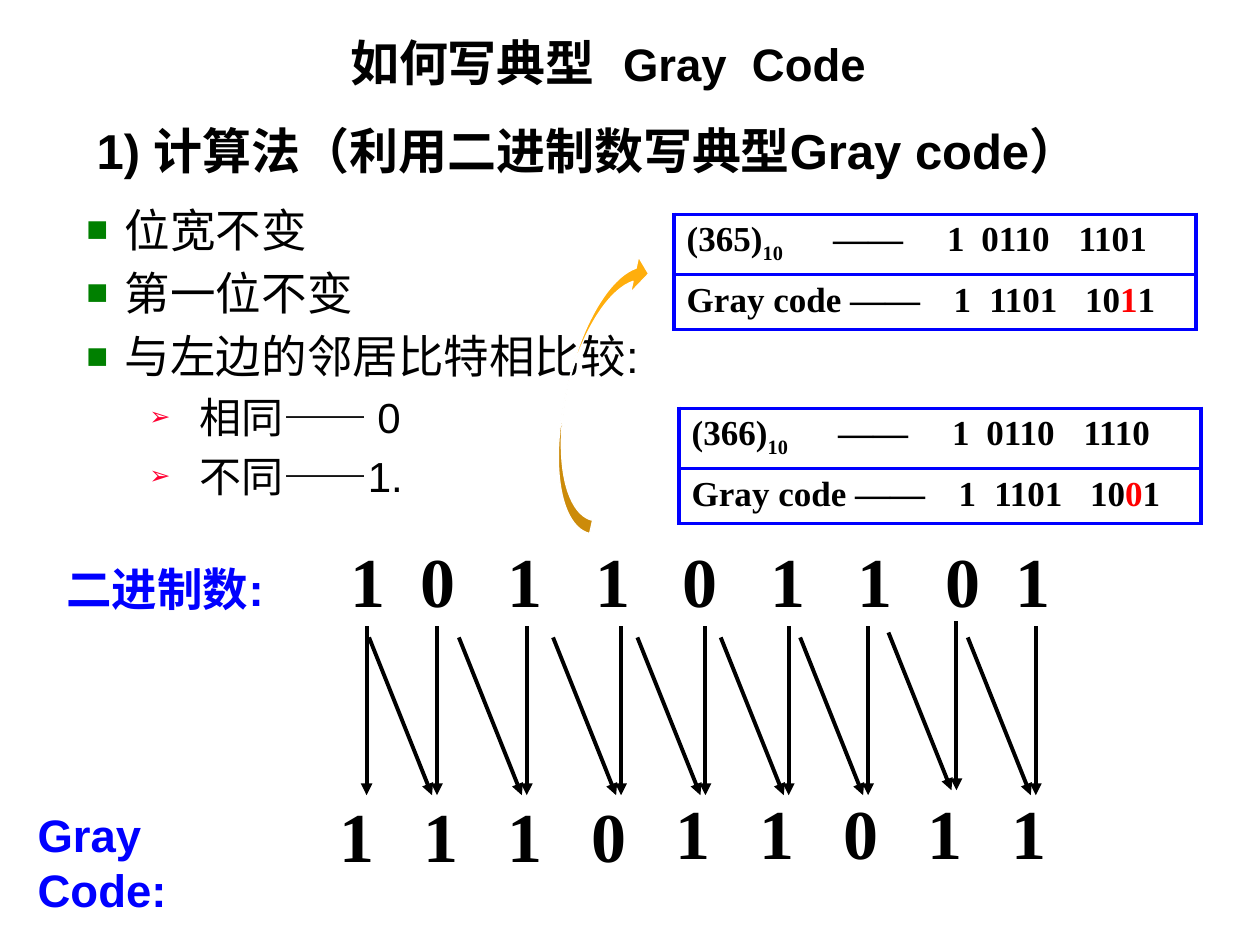
from itertools import accumulate

from lxml.etree import SubElement
from pptx import Presentation
from pptx.dml.color import RGBColor as RGB
from pptx.enum.shapes import MSO_CONNECTOR as CONN, MSO_SHAPE as SHAPE
from pptx.enum.text import PP_ALIGN as ALIGN
from pptx.oxml.ns import qn
from pptx.util import Cm, Pt

COLORS = {"ink": "000000", "blue": "0000FF", "red": "FF0000", "green": "008000",
          "crimson": "FF0033", "gold": "FFAE0D", "white": "FFFFFF"}
HEAD = {"name": "Arial", "size": Pt(28), "bold": True}
LABEL = {"name": "Arial", "size": Pt(26), "bold": True}
DIGIT = {"name": "Times New Roman", "size": Pt(40), "bold": True}
CELL = {"name": "Times New Roman", "size": Pt(20), "bold": True}


def rgb(name):
    return RGB.from_string(COLORS[name])


def add_run(p, text, fmt, color="ink", baseline=None):
    r = p.add_run()
    r.text = text
    for key, value in fmt.items():
        setattr(r.font, key, value)
    r.font.color.rgb = rgb(color)
    if baseline:
        r._r.get_or_add_rPr().set("baseline", str(baseline))


def add_tabs(p, stops):
    tabs = SubElement(p._p.get_or_add_pPr(), qn("a:tabLst"))
    for stop in stops:
        SubElement(tabs, qn("a:tab"), pos=str(Cm(stop)), algn="l")


def add_bullet(p, char, color, percent, margin, hang):
    pPr = p._p.get_or_add_pPr()
    pPr.set("marL", str(Cm(margin)))
    pPr.set("indent", str(-Cm(hang)))
    clr = SubElement(pPr, qn("a:buClr"))
    SubElement(clr, qn("a:srgbClr"), val=COLORS[color])
    SubElement(pPr, qn("a:buSzPct"), val=str(percent * 1000))
    SubElement(pPr, qn("a:buFont"), typeface="Arial")
    SubElement(pPr, qn("a:buChar"), char=char)


def add_text(slide, box, runs, tabs=()):
    tf = slide.shapes.add_textbox(*map(Cm, box)).text_frame
    tf.word_wrap = True
    p = tf.paragraphs[0]
    if tabs:
        add_tabs(p, tabs)
    for run in runs:
        add_run(p, *run)


def add_rules(slide, box):
    tf = slide.shapes.add_textbox(*map(Cm, box)).text_frame
    tf.word_wrap = True
    square = ("■", "green", 80, 0.78, 0.78)
    arrow = ("➢", "crimson", 60, 2.29, 1.02)
    rules = [("位宽不变", 26, square), ("第一位不变", 26, square),
             ("与左边的邻居比特相比较:", 26, square),
             ("相同—— 0", 24, arrow), ("不同——1.", 24, arrow)]
    for i, (text, size, bullet) in enumerate(rules):
        p = tf.add_paragraph() if i else tf.paragraphs[0]
        add_bullet(p, *bullet)
        p.alignment = ALIGN.JUSTIFY
        if i:
            p.space_before = Pt(5)
        if bullet is arrow:
            p.level = 1
        add_run(p, text, {"name": "Arial", "size": Pt(size)})


def add_borders(cell):
    tcPr = cell._tc.get_or_add_tcPr()
    for i, side in enumerate(("lnL", "lnR", "lnT", "lnB")):
        ln = SubElement(tcPr, qn("a:" + side), w=str(Pt(2.25)))
        fill = SubElement(ln, qn("a:solidFill"))
        SubElement(fill, qn("a:srgbClr"), val=COLORS["blue"])
        tcPr.insert(i, ln)


def add_example(slide, box, number, low_bits, changed_bit):
    table = slide.shapes.add_table(2, 1, *map(Cm, box)).table
    table.first_row = table.horz_banding = False
    rows = [
        ([(f"({number})", CELL), ("10", CELL, "ink", -25000),
          (f"\t——\t1\t0110\t{low_bits}", CELL)], (2.95, 5.25, 5.94, 7.9)),
        ([("Gray code ——\t1\t1101\t10", CELL), (changed_bit, CELL, "red"),
          ("1", CELL)], (5.38, 6.1, 8.03)),
    ]
    for i, (runs, tabs) in enumerate(rows):
        cell = table.cell(i, 0)
        cell.fill.background()
        add_borders(cell)
        p = cell.text_frame.paragraphs[0]
        add_tabs(p, tabs)
        for run in runs:
            add_run(p, *run)


def add_binary(slide, box, bits, gaps):
    # Each digit is 0.71 cm wide; gaps count half-digit steps
    tabs = accumulate(0.706 + 0.353 * gap for gap in gaps)
    add_text(slide, box, [("\t".join(bits), DIGIT)], tuple(tabs))


def add_gray(slide, box, bits):
    left, top, width, height = box
    for i, bit in enumerate(bits):
        y = top if i < 4 else top - 0.05
        add_text(slide, (left + 1.693 * i, y, width, height), [(bit, DIGIT)])


def add_arrow(shapes, x1, y1, x2, y2):
    c = shapes.add_connector(CONN.STRAIGHT, Cm(x1), Cm(y1), Cm(x2), Cm(y2))
    c.line.color.rgb = rgb("ink")
    c.line.width = Pt(2.25)
    SubElement(c.line._get_or_add_ln(), qn("a:tailEnd"), type="triangle")
    SubElement(c._element.spPr, qn("a:effectLst"))


def add_arrows(slide, box):
    left, top, _, height = box
    add_arrow(slide.shapes, left, top, left, top + height)
    # One pair per later bit: left neighbour and the bit itself
    for offset in (1.42, 3.23, 5.13, 6.83, 8.51, 10.11, 11.89, 13.49):
        x = left + offset
        y = top - 0.1 if offset == 11.89 else top
        pair = slide.shapes.add_group_shape().shapes
        add_arrow(pair, x - 1.37, y + 0.23, x - 0.1, y + height)
        add_arrow(pair, x, y, x, y + height)


def add_curved_arrow(slide, box):
    sp = slide.shapes.add_shape(SHAPE.CURVED_UP_ARROW, *map(Cm, box))
    sp.shadow.inherit = False
    for i, value in enumerate((0.25, 0.679, 0.25)):
        sp.adjustments[i] = value
    sp.rotation = 282.8
    sp._element.spPr.find(qn("a:xfrm")).set("flipV", "1")
    sp.fill.solid()
    sp.fill.fore_color.rgb = rgb("gold")
    sp.line.color.rgb = rgb("white")
    sp.line.width = Pt(0.75)


def main():
    prs = Presentation()
    prs.slide_width, prs.slide_height = Cm(25.4), Cm(19.05)
    slide = prs.slides.add_slide(prs.slide_layouts[6])

    # Binary digits, arrows and Gray digits
    add_binary(slide, (6.81, 10.72, 16.31, 1.96), "101101101", (2, 3, 3, 3, 3, 3, 3, 2))
    add_arrows(slide, (7.39, 12.62, 13.49, 3.41))
    add_gray(slide, (6.6, 15.85, 1.47, 1.96), "111011011")

    # Headings, rules and row labels
    add_text(slide, (1.7, 2.31, 23.7, 1.45), [("1) 计算法（利用二进制数写典型Gray code）", HEAD)])
    add_rules(slide, (1.49, 3.94, 15.8, 6.5))
    add_text(slide, (6.81, 0.53, 12.4, 1.45),
             [("如何写典型", HEAD), ("\tGray\tCode", LABEL)], (5.5, 8.1))
    add_text(slide, (1.09, 11.18, 4.95, 1.37), [("二进制数:", LABEL, "blue")])
    add_text(slide, (0.51, 16.15, 5.1, 1.35), [("Gray Code:", LABEL, "blue")])

    # Worked examples
    add_example(slide, (13.69, 8.23, 10.52, 2.08), 366, "1110", "0")
    add_example(slide, (13.59, 4.32, 10.52, 2.08), 365, "1101", "1")
    add_curved_arrow(slide, (9.12, 7.29, 5.74, 1.09))

    prs.save("out.pptx")


if __name__ == "__main__":
    main()
